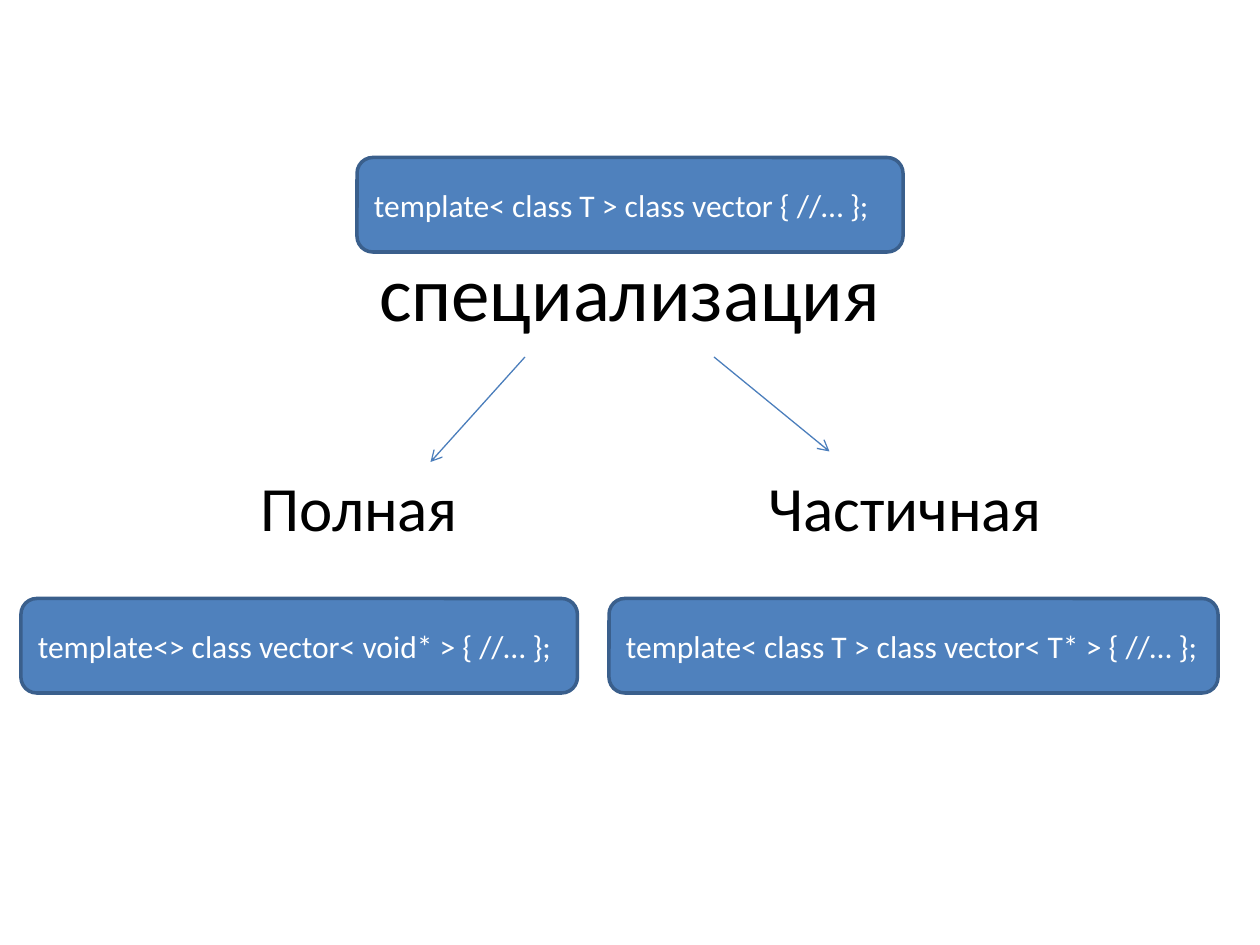
from pptx import Presentation
from pptx.dml.color import RGBColor
from pptx.enum.shapes import MSO_CONNECTOR, MSO_SHAPE
from pptx.enum.text import MSO_ANCHOR, MSO_AUTO_SIZE, PP_ALIGN
from pptx.oxml.ns import qn
from pptx.util import Pt
from lxml.etree import SubElement

BLACK = RGBColor(0x00, 0x00, 0x00)
WHITE = RGBColor(0xFF, 0xFF, 0xFF)
BLUE = RGBColor(0x4F, 0x81, 0xBD)
BORDER = RGBColor(0x3A, 0x5F, 0x8C)
ARROW = RGBColor(0x4B, 0x7E, 0xBC)

HEADING = "специализация"
HEADING_BOX = (36, 121, 648, 90)
BRANCHES = [
    ("Полная", 142, 128),
    ("Частичная", 432, 173),
]
BRANCH_TOP, BRANCH_HEIGHT = 264, 51
ARROWS = [
    ((300, 204), (246, 264)),
    ((408, 204), (474, 258)),
]
DECLARATIONS = [
    ("template< class T > class vector { //… };", 204, 90, 312),
    ("template<> class vector< void* > { //… };", 12, 342, 318),
    ("template< class T > class vector< T* > { //… };", 348, 342, 348),
]
DECLARATION_HEIGHT = 54

HEADING_FONT = {"name": "Calibri", "size": Pt(44)}
BRANCH_FONT = {"name": "Calibri", "size": Pt(36)}
CODE_FONT = {"name": "Calibri", "size": Pt(18)}


def points(*lengths):
    return [Pt(length) for length in lengths]


def write(frame, text, font, color, align, **layout):
    for key, value in layout.items():
        setattr(frame, key, value)
    paragraph = frame.paragraphs[0]
    paragraph.alignment = align
    run = paragraph.add_run()
    run.text = text
    for key, value in font.items():
        setattr(run.font, key, value)
    run.font.color.rgb = color


def add_arrow(shapes, start, end):
    arrow = shapes.add_connector(MSO_CONNECTOR.STRAIGHT, *points(*start, *end))
    arrow.line.color.rgb = ARROW
    arrow.line.width = Pt(0.75)
    SubElement(arrow.line._get_or_add_ln(), qn("a:tailEnd"), type="arrow")
    SubElement(arrow._element.spPr, qn("a:effectLst"))


def add_declaration(shapes, code, left, top, width):
    box = shapes.add_shape(
        MSO_SHAPE.ROUNDED_RECTANGLE, *points(left, top, width, DECLARATION_HEIGHT)
    )
    box.shadow.inherit = False
    box.fill.solid()
    box.fill.fore_color.rgb = BLUE
    box.line.color.rgb = BORDER
    box.line.width = Pt(2)
    write(box.text_frame, code, CODE_FONT, WHITE, PP_ALIGN.LEFT,
          word_wrap=True, vertical_anchor=MSO_ANCHOR.MIDDLE)


def main():
    deck = Presentation()
    deck.slide_width, deck.slide_height = points(720, 540)
    slide = deck.slides.add_slide(deck.slide_layouts[5])
    shapes = slide.shapes

    heading = shapes.title
    heading.left, heading.top, heading.width, heading.height = points(*HEADING_BOX)
    write(heading.text_frame, HEADING, HEADING_FONT, BLACK, PP_ALIGN.CENTER,
          vertical_anchor=MSO_ANCHOR.MIDDLE)

    for start, end in ARROWS:
        add_arrow(shapes, start, end)

    for name, left, width in BRANCHES:
        branch = shapes.add_textbox(*points(left, BRANCH_TOP, width, BRANCH_HEIGHT))
        write(branch.text_frame, name, BRANCH_FONT, BLACK, PP_ALIGN.LEFT,
              word_wrap=False, auto_size=MSO_AUTO_SIZE.SHAPE_TO_FIT_TEXT)

    for declaration in DECLARATIONS:
        add_declaration(shapes, *declaration)

    deck.save("out.pptx")


if __name__ == "__main__":
    main()
